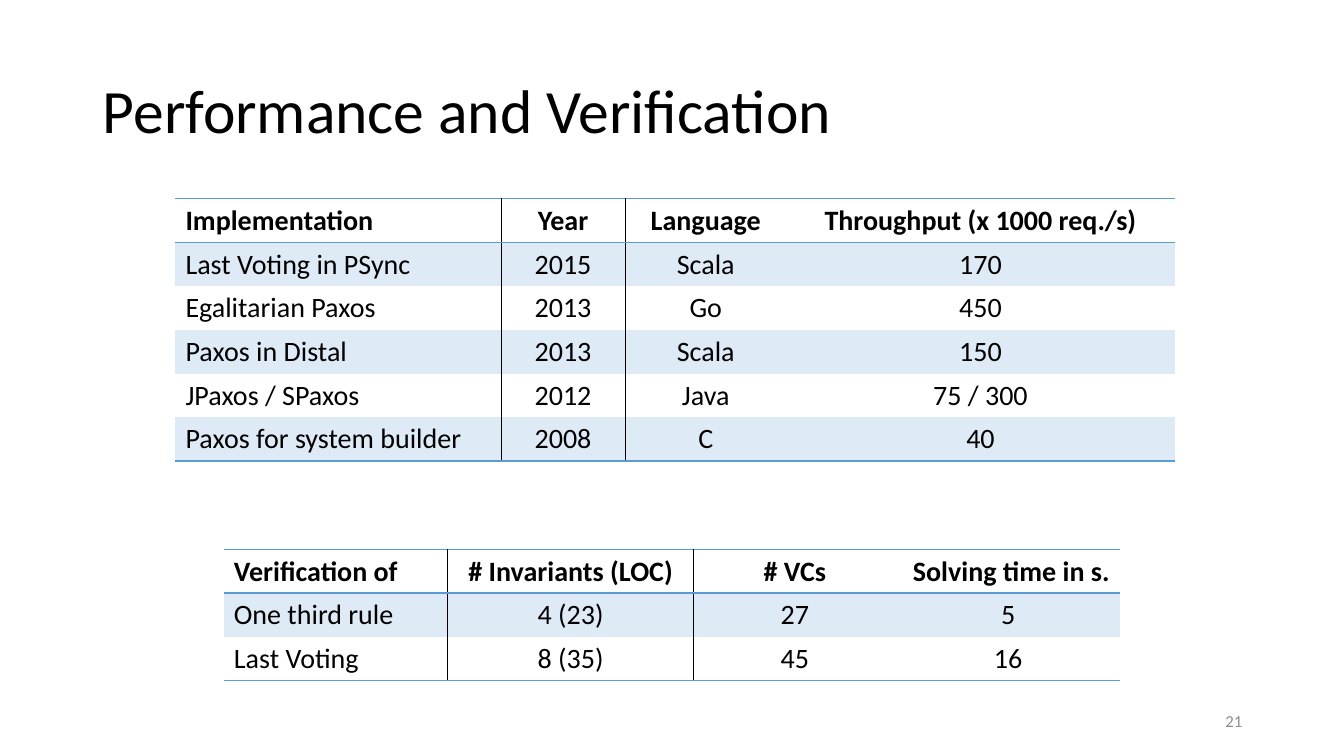
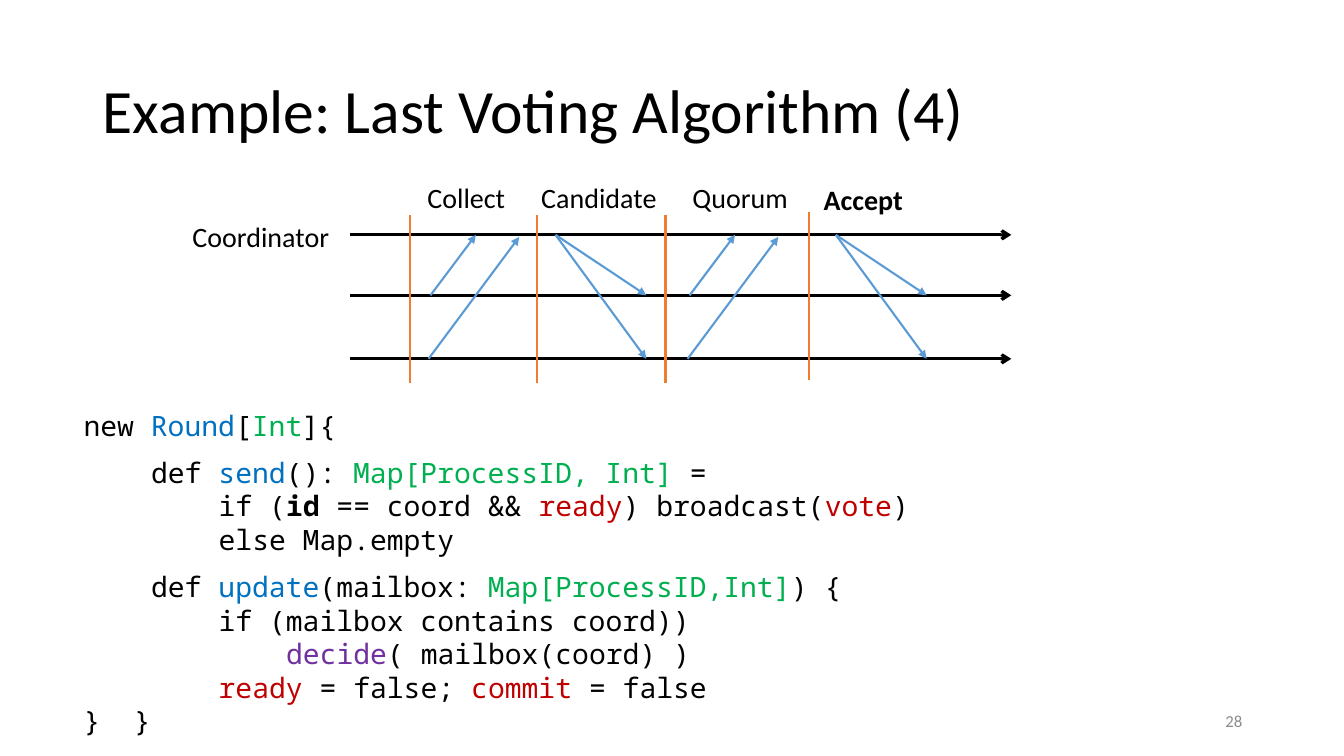
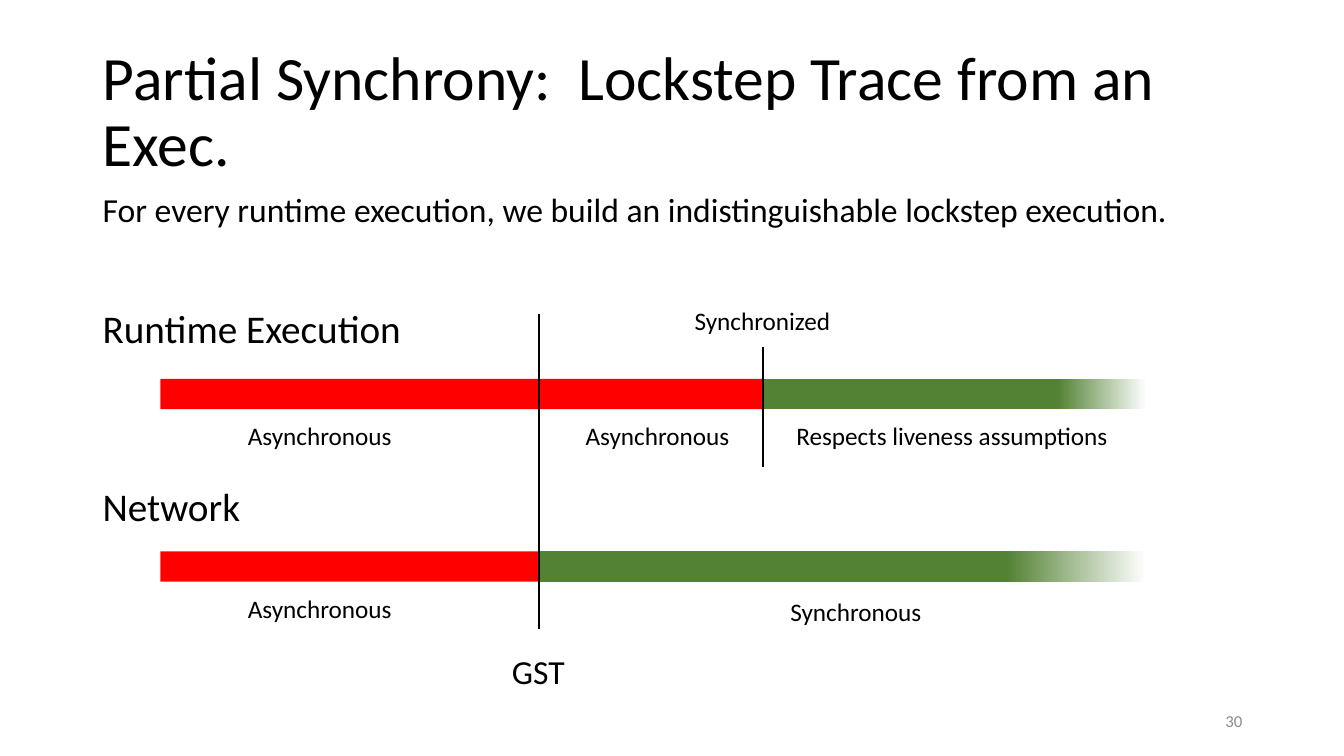
"""Build three slides on the speed, rounds and timing of a consensus algorithm."""
from dataclasses import dataclass
from itertools import accumulate
from typing import Any

from lxml.etree import SubElement as sub
from pptx import Presentation
from pptx.dml.color import RGBColor
from pptx.enum.shapes import MSO_CONNECTOR as Link, MSO_SHAPE as Shape
from pptx.enum.text import MSO_ANCHOR as Anchor, MSO_AUTO_SIZE as Fit, PP_ALIGN as Align
from pptx.oxml.ns import qn
from pptx.util import Inches, Pt

BLACK, WHITE, GREY = "000000", "FFFFFF", "8C8C8C"
BLUE, PALE, ORANGE = "5B9BD5", "DEEBF7", "ED7D31"
RED, GREEN = "FF0000", "548235"
NAME, TYPE, STATE, CALL = "0070C0", "00B050", "C00000", "7030A0"
SANS, MONO = "Calibri", "Noto Sans Mono"
TAB = 0.67
ROW = 0.41


@dataclass
class Label:
    text: str
    left: float
    top: float
    width: float
    height: float
    size: int = 18
    bold: bool = False


@dataclass
class Line:
    start: tuple[float, float]
    end: tuple[float, float]
    color: str = BLACK
    weight: float = 1.5
    head: str = ""


@dataclass
class Bar:
    left: float
    top: float
    width: float
    color: str
    fades: bool = False


@dataclass
class Grid:
    left: float
    top: float
    widths: list[float]
    rows: list[list[str]]


@dataclass
class Code:
    depth: int
    runs: list[tuple[str, str]]
    gap: float = 0
    strong: str = ""


def rgb(color: str) -> RGBColor:
    return RGBColor.from_string(color)


def apply(target: Any, **values: Any) -> None:
    for key, value in values.items():
        setattr(target, key, value)


def write(para: Any, text: str, size: int, color: str = BLACK, bold: bool = False,
          face: str = SANS) -> None:
    run = para.add_run()
    run.text = text
    apply(run.font, name=face, size=Pt(size), bold=bold)
    run.font.color.rgb = rgb(color)


def place(shape: Any, left: float, top: float, width: float, height: float) -> None:
    apply(shape, left=Inches(left), top=Inches(top), width=Inches(width), height=Inches(height))


def start(deck: Any, title: str, number: int, width: float = 11.5) -> Any:
    slide = deck.slides.add_slide(deck.slide_layouts[5])
    head = slide.shapes.title
    place(head, 0.92, 0.4, width, 1.45)
    apply(head.text_frame, vertical_anchor=Anchor.MIDDLE, auto_size=Fit.NONE, word_wrap=True)
    para = head.text_frame.paragraphs[0]
    apply(para, alignment=Align.LEFT, line_spacing=0.9)
    write(para, title, 44)
    foot = add_box(slide, 9.42, 6.95, 3, 0.4)
    apply(foot, vertical_anchor=Anchor.MIDDLE, word_wrap=True)
    foot.paragraphs[0].alignment = Align.RIGHT
    write(foot.paragraphs[0], str(number), 12, GREY)
    return slide


def add_box(slide: Any, left: float, top: float, width: float, height: float) -> Any:
    return slide.shapes.add_textbox(*map(Inches, (left, top, width, height))).text_frame


def add_label(slide: Any, label: Label) -> None:
    frame = add_box(slide, label.left, label.top, label.width, label.height)
    apply(frame, word_wrap=False, auto_size=Fit.SHAPE_TO_FIT_TEXT)
    write(frame.paragraphs[0], label.text, label.size, bold=label.bold)


def add_line(slide: Any, line: Line) -> None:
    link = slide.shapes.add_connector(Link.STRAIGHT, *map(Inches, line.start + line.end))
    link.line.color.rgb = rgb(line.color)
    link.line.width = Pt(line.weight)
    props = link.element.spPr
    if line.head:
        sub(props.find(qn("a:ln")), qn("a:tailEnd"), type=line.head)
    sub(props, qn("a:effectLst"))


def add_bar(slide: Any, bar: Bar) -> None:
    spots = map(Inches, (bar.left, bar.top, bar.width, 0.3))
    shape = slide.shapes.add_shape(Shape.RECTANGLE, *spots)
    shape.shadow.inherit = False
    shape.line.fill.background()
    if bar.fades:
        shape.fill.gradient()
        shape.fill.gradient_angle = 0
        for stop, (spot, color) in zip(shape.fill.gradient_stops,
                                       ((0.77, bar.color), (1, WHITE))):
            stop.position = spot
            stop.color.rgb = rgb(color)
    else:
        shape.fill.solid()
        shape.fill.fore_color.rgb = rgb(bar.color)


def add_edge(cell: Any, side: str, color: str) -> None:
    edge = sub(cell._tc.get_or_add_tcPr(), qn(f"a:ln{side}"), w=str(Pt(1)))
    if color:
        sub(sub(edge, qn("a:solidFill")), qn("a:srgbClr"), val=color)
    else:
        sub(edge, qn("a:noFill"))


def add_grid(slide: Any, grid: Grid) -> None:
    count = len(grid.rows)
    table = slide.shapes.add_table(
        count, len(grid.widths), Inches(grid.left), Inches(grid.top),
        Inches(sum(grid.widths)), Inches(ROW * count)).table
    apply(table, first_row=False, horz_banding=False)
    for column, width in zip(table.columns, grid.widths):
        column.width = Inches(width)
    for r, texts in enumerate(grid.rows):
        table.rows[r].height = Inches(ROW)
        for c, text in enumerate(texts):
            cell = table.cell(r, c)
            edges = {"L": BLACK if c in (1, 2) else "", "R": BLACK if c < 2 else "",
                     "T": BLUE if r < 2 else "", "B": BLUE if r in (0, count - 1) else ""}
            for side, color in edges.items():
                add_edge(cell, side, color)
            if r % 2:
                cell.fill.solid()
                cell.fill.fore_color.rgb = rgb(PALE)
            else:
                cell.fill.background()
            para = cell.text_frame.paragraphs[0]
            para.alignment = Align.CENTER if c else Align.LEFT
            write(para, text, 20, bold=r == 0)


def add_code(slide: Any, lines: list[Code]) -> None:
    frame = add_box(slide, 0.73, 4, 11.88, 3.4)
    frame.word_wrap = True
    for i, line in enumerate(lines):
        para = frame.add_paragraph() if i else frame.paragraphs[0]
        para.space_before = Pt(line.gap)
        props = para._p.get_or_add_pPr()
        props.set("marL", str(Inches(TAB * line.depth)))
        props.set("indent", "0")
        sub(sub(props, qn("a:tabLst")), qn("a:tab"), pos=str(Inches(TAB)), algn="l")
        for text, color in line.runs:
            write(para, text, 20, color, text == line.strong, MONO)


def show_speed(deck: Any) -> None:
    slide = start(deck, "Performance and Verification", 21)
    add_grid(slide, Grid(1.74, 1.97, [3.23, 1.23, 1.6, 3.85], [
        ["Implementation", "Year", "Language", "Throughput (x 1000 req./s)"],
        ["Last Voting in PSync", "2015", "Scala", "170"],
        ["Egalitarian Paxos", "2013", "Go", "450"],
        ["Paxos in Distal", "2013", "Scala", "150"],
        ["JPaxos / SPaxos", "2012", "Java", "75 / 300"],
        ["Paxos for system builder", "2008", "C", "40"]]))
    add_grid(slide, Grid(2.22, 5.45, [2.22, 2.44, 2.01, 2.22], [
        ["Verification of", "# Invariants (LOC)", "# VCs", " Solving time in s."],
        ["One third rule", "4 (23)", "27", "5"],
        ["Last Voting", "8 (35)", "45", "16"]]))


def show_rounds(deck: Any) -> None:
    slide = start(deck, "Example: Last Voting Algorithm (4)", 28)
    tracks = top, mid, low = 2.33, 2.93, 3.56
    for y in tracks:
        add_line(slide, Line((3.47, y), (10.03, y), BLACK, 2.25, "arrow"))
    for x in (5.51, 8.29):
        for y in (mid, low):
            add_line(slide, Line((x, top), (x + 0.9, y), BLUE, head="triangle"))
    for x in (4.25, 6.82):
        add_line(slide, Line((x + 0.02, mid), (x + 0.47, top), BLUE, head="triangle"))
        add_line(slide, Line((x, low), (x + 0.9, top + 0.02), BLUE, head="triangle"))
    for x, y in ((4.07, 2.13), (5.33, 2.13), (6.6, 2.13), (8.02, 2.1)):
        add_line(slide, Line((x, y), (x, y + 1.67), ORANGE))
    for label in (Label("Coordinator", 1.81, 2.13, 1.57, 0.44, 20),
                  Label("Collect", 4.14, 1.74, 0.98, 0.44, 20),
                  Label("Candidate", 5.27, 1.74, 1.36, 0.44, 20),
                  Label("Quorum", 6.77, 1.74, 1.16, 0.44, 20),
                  Label("Accept", 8.07, 1.76, 0.99, 0.44, 20, True)):
        add_label(slide, label)
    add_code(slide, [
        Code(0, [("new ", BLACK), ("Round", NAME), ("[", BLACK), ("Int", TYPE), ("]{", BLACK)]),
        Code(1, [("def ", BLACK), ("send", NAME), ("(): ", BLACK),
                 ("Map[ProcessID, Int]", TYPE), (" =", BLACK)], 9.6),
        Code(2, [("if (", BLACK), ("id", BLACK), (" == coord && ", BLACK), ("ready", STATE),
                 (") broadcast(", BLACK), ("vote", STATE), (")", BLACK)], strong="id"),
        Code(2, [("else Map.empty", BLACK)]),
        Code(1, [("def ", BLACK), ("update", NAME), ("(mailbox: ", BLACK),
                 ("Map[ProcessID,Int]", TYPE), (") {", BLACK)], 9.6),
        Code(2, [("if (mailbox contains coord))", BLACK)]),
        Code(3, [("decide", CALL), ("( mailbox(coord) )", BLACK)]),
        Code(2, [("ready ", STATE), ("= false; ", BLACK), ("commit ", STATE),
                 ("= false", BLACK)]),
        Code(0, [("}\t}", BLACK)])])


def show_timing(deck: Any) -> None:
    slide = start(deck, "Partial Synchrony:  Lockstep Trace from an Exec.", 30, 11.93)
    for top, widths in ((3.76, (3.76, 2.22, 3.8)), (5.47, (3.76, 6.02))):
        lefts = accumulate(widths, initial=1.59)
        for i, (left, width) in enumerate(zip(lefts, widths)):
            last = i == len(widths) - 1
            add_bar(slide, Bar(left, top, width, GREEN if last else RED, last))
    for x, top, end in ((5.35, 3.12, 6.24), (7.57, 3.44, 4.63)):
        add_line(slide, Line((x, top), (x, end)))
    intro = "For every runtime execution, we build an indistinguishable lockstep execution."
    for label in (Label(intro, 0.92, 1.83, 10.88, 0.5, 24),
                  Label("Runtime Execution", 0.92, 2.97, 3.2, 0.57, 28),
                  Label("Network", 0.92, 4.74, 1.58, 0.57, 28),
                  Label("GST", 4.98, 6.41, 0.73, 0.5, 24),
                  Label("Synchronized", 6.79, 2.98, 1.56, 0.4),
                  Label("Asynchronous", 2.36, 4.12, 1.64, 0.4),
                  Label("Asynchronous", 5.71, 4.12, 1.64, 0.4),
                  Label("Respects liveness assumptions", 7.8, 4.12, 3.32, 0.4),
                  Label("Asynchronous", 2.36, 5.84, 1.64, 0.4),
                  Label("Synchronous", 7.74, 5.87, 1.52, 0.4)):
        add_label(slide, label)


def main() -> None:
    deck = Presentation()
    apply(deck, slide_width=Inches(13.33), slide_height=Inches(7.5))
    for show in (show_speed, show_rounds, show_timing):
        show(deck)
    deck.save("out.pptx")


main()
